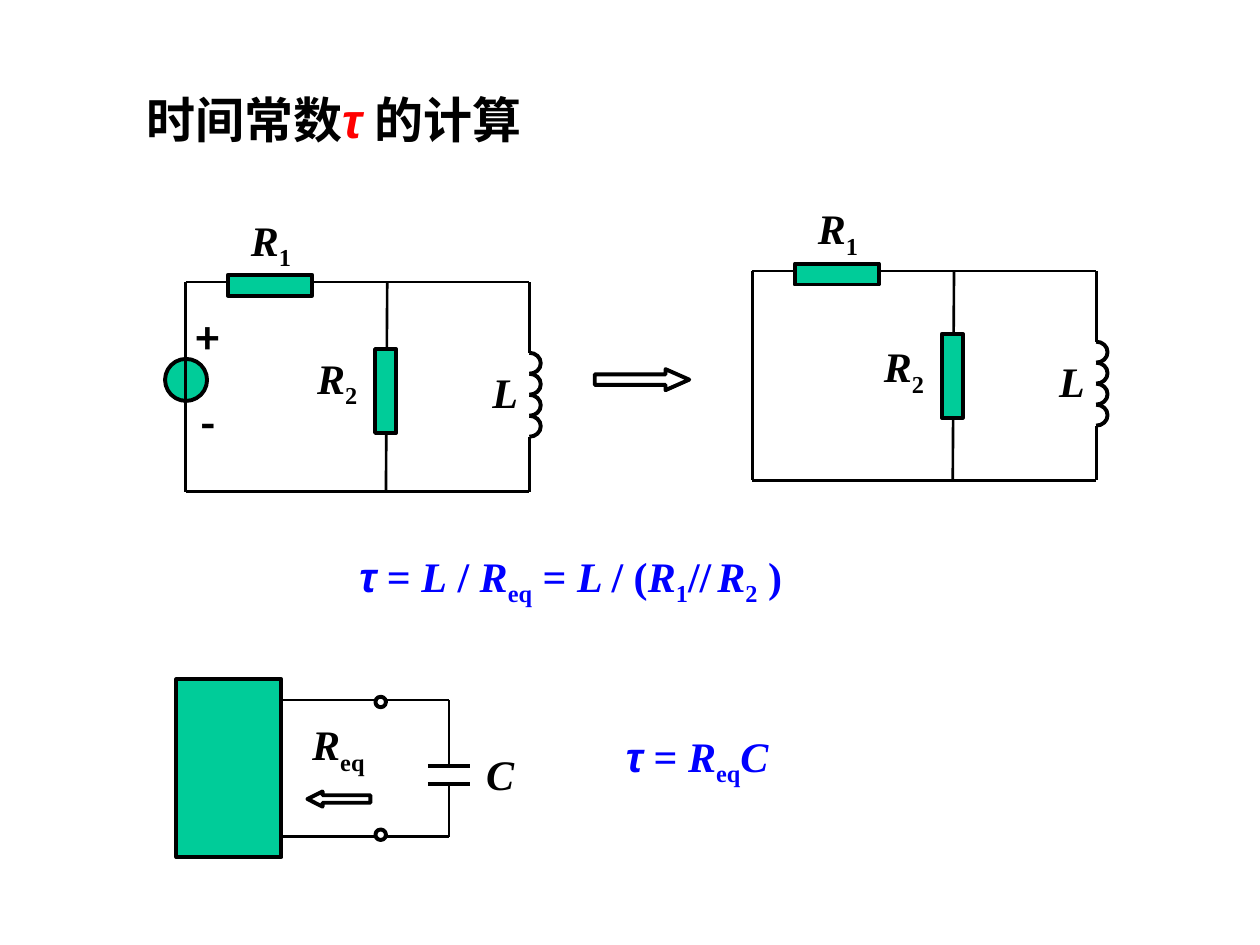
import pptx
import pptx.dml.color
import pptx.enum.shapes
import pptx.enum.text
import pptx.oxml.ns
import pptx.util
from lxml import etree

SHAPE = pptx.enum.shapes.MSO_SHAPE
COLUMNS, ROWS = 60, 45
CELL = pptx.util.Inches(10) / COLUMNS
BLACK, GREEN, BLUE, RED, WHITE = "000000", "00CC99", "0000FF", "FF0000", "FFFFFF"
SERIF, SANS, CJK = "Times New Roman", "Arial", "Noto Sans CJK SC"
ITALIC = {"italic": True}
SUB = {"subscript": True}
TAU = ("τ", {"italic": True, "font": SANS})
R1 = [("R", ITALIC), ("1", SUB)]
R2 = [("R", ITALIC), ("2", SUB)]
REQ = [("R", ITALIC), ("eq", SUB)]


def grid(*cells):
    """Turn grid columns or rows into slide lengths."""
    return [pptx.util.Emu(round(cell * CELL)) for cell in cells]


def paint(target, colour):
    target.rgb = pptx.dml.color.RGBColor.from_string(colour)


def outline(item, width):
    paint(item.line.color, BLACK)
    item.line.width = pptx.util.Pt(width)


def add_text(shapes, spans, left, top, width, height, size=24, colour=BLACK,
             font=SERIF, wrap=True):
    """Add a bold line; each span is (text, format) with its own overrides."""
    box = shapes.add_textbox(*grid(left, top, width, height))
    frame = box.text_frame
    frame.word_wrap = wrap
    frame.auto_size = pptx.enum.text.MSO_AUTO_SIZE.SHAPE_TO_FIT_TEXT
    frame.vertical_anchor = pptx.enum.text.MSO_ANCHOR.MIDDLE
    para = frame.paragraphs[0]
    for text, style in spans:
        span = para.add_run()
        span.text = text
        span.font.size = pptx.util.Pt(size)
        span.font.bold = True
        span.font.italic = style.get("italic", False)
        span.font.name = style.get("font", font)
        paint(span.font.color, style.get("colour", colour))
        properties = span.font._element
        east_asian = etree.SubElement(properties, pptx.oxml.ns.qn("a:ea"))
        east_asian.set("typeface", CJK)
        if style.get("subscript"):
            properties.set("baseline", "-25000")


def add_block(shapes, kind, left, top, width, height, fill=None, adjust=()):
    block = shapes.add_shape(kind, *grid(left, top, width, height))
    block.shadow.inherit = False
    if fill:
        block.fill.solid()
        paint(block.fill.fore_color, fill)
    else:
        block.fill.background()
    outline(block, 2.25)
    for index, value in enumerate(adjust):
        block.adjustments[index] = value


def add_wire(shapes, start_x, start_y, end_x, end_y, width=1.5):
    wire = shapes.add_connector(pptx.enum.shapes.MSO_CONNECTOR.STRAIGHT,
                                *grid(start_x, start_y, end_x, end_y))
    outline(wire, width)
    etree.SubElement(wire._element.spPr, pptx.oxml.ns.qn("a:effectLst"))


def bend(shape):
    """Turn each three line segments of a freeform into one Bézier curve."""
    outline_path = next(shape._element.iter(pptx.oxml.ns.qn("a:path")))
    segments = outline_path.findall(pptx.oxml.ns.qn("a:lnTo"))
    for first in range(0, len(segments), 3):
        curve = etree.SubElement(outline_path, pptx.oxml.ns.qn("a:cubicBezTo"))
        for segment in segments[first:first + 3]:
            curve.append(segment[0])
            outline_path.remove(segment)


def add_coil(shapes, x, y, turns=4, bulge=0.54):
    """Stack half-ellipse turns, each one row high."""
    quarter = [(0.55, 0), (1, 0.22), (1, 0.5)]
    mirrored = [(1, 0.78), (0.55, 1), (0, 1)]
    for turn in range(turns):
        points = [grid(x + bulge * across, y + turn + down)
                  for across, down in quarter + mirrored]
        builder = shapes.build_freeform(*grid(x, y + turn))
        builder.add_line_segments(points, close=False)
        arc = builder.convert_to_shape()
        bend(arc)
        arc.shadow.inherit = False
        arc.fill.background()
        outline(arc, 2.25)


def add_rl_circuit(page, x, y, r2_top, with_source):
    """Draw the R1, R2, L loop with its top left corner at x, y."""
    shapes = page.shapes.add_group_shape().shapes
    right, bottom = x + 16.37, y + 9.98
    coil_top, coil_bottom = y + 3.37, y + 7.37
    add_wire(shapes, x + 9.6, y, x + 9.54, bottom)
    add_block(shapes, SHAPE.RECTANGLE, x + 9.02, y + r2_top, 1, 4, GREEN)
    if with_source:
        add_block(shapes, SHAPE.OVAL, x - 0.98, y + 3.66, 2, 2, GREEN)
        add_text(shapes, [("+", {})], x - 0.14, y + 1.14, 2.34, 3,
                 font=CJK, wrap=False)
        add_text(shapes, [("-", {})], x + 0.1, y + 5.16, 1.86, 3,
                 font=CJK, wrap=False)
    for ends in [(x, y, right, y), (x, y, x, bottom), (x, bottom, right, bottom),
                 (right, y, right, coil_top), (right, bottom, right, coil_bottom)]:
        add_wire(shapes, *ends)
    add_block(shapes, SHAPE.RECTANGLE, x + 2.02, y - 0.35, 4, 1, GREEN)
    add_coil(shapes, right, coil_top)
    add_text(shapes, R1, x + 2.52, y - 3.55, 3.3, 3.36)
    add_text(shapes, R2, x + 5.67, y + 3.02, 3.2, 3.36)
    add_text(shapes, [("L", ITALIC)], x + 14.02, y + 3.72, 2.4, 3, wrap=False)


def add_rc_circuit(page, x, y):
    """Draw the network box feeding C, with its top left corner at x, y."""
    shapes = page.shapes.add_group_shape().shapes
    right = x + 12.98
    add_block(shapes, SHAPE.RECTANGLE, x, y, 5, 8.48, GREEN)
    for rail, plate, terminal in [(1, 4.13, 0.84), (7.5, 5, 7.16)]:
        add_wire(shapes, x + 5, y + rail, right, y + rail)
        add_wire(shapes, right, y + rail, right, y + plate)
        add_wire(shapes, right - 1, y + plate, right + 1, y + plate, width=2.25)
        add_block(shapes, SHAPE.OVAL, x + 9.48, y + terminal, 0.5, 0.5, WHITE)
    add_block(shapes, SHAPE.LEFT_ARROW, x + 6.24, y + 5.35, 3, 0.72,
              adjust=(0.5, 1))
    add_text(shapes, REQ, x + 5.88, y + 1.57, 4.2, 3.36)
    add_text(shapes, [("C", ITALIC)], x + 14.16, y + 3, 2.52, 3, wrap=False)


def main():
    deck = pptx.Presentation()
    deck.slide_width, deck.slide_height = grid(COLUMNS, ROWS)
    page = deck.slides.add_slide(deck.slide_layouts[6])
    shapes = page.shapes
    add_text(shapes, [("时间常数", {}), ("τ", {**TAU[1], "colour": RED}),
                      (" 的计算", {})], 6.38, 3.96, 22.3, 3.42, size=28)
    add_rl_circuit(page, 8.84, 13.43, r2_top=3.19, with_source=True)
    add_block(shapes, SHAPE.RIGHT_ARROW, 28.32, 17.58, 4.5, 1,
              adjust=(0.5, 1.13))
    add_rl_circuit(page, 35.83, 12.9, r2_top=3, with_source=False)
    add_text(shapes, [TAU, (" = ", {}), ("L", ITALIC), (" / ", {}), *REQ,
                      (" = ", {}), ("L ", ITALIC), ("/ (", {}), *R1,
                      ("//", {}), (" ", SUB), *R2, (" )", {})],
             16.52, 25.9, 26.34, 3.36, colour=BLUE)
    add_rc_circuit(page, 8.4, 32.34)
    add_text(shapes, [TAU, (" = ", {}), *REQ, ("C", ITALIC)],
             29.22, 34.47, 11.64, 3.36, colour=BLUE)
    deck.save("out.pptx")


if __name__ == "__main__":
    main()
